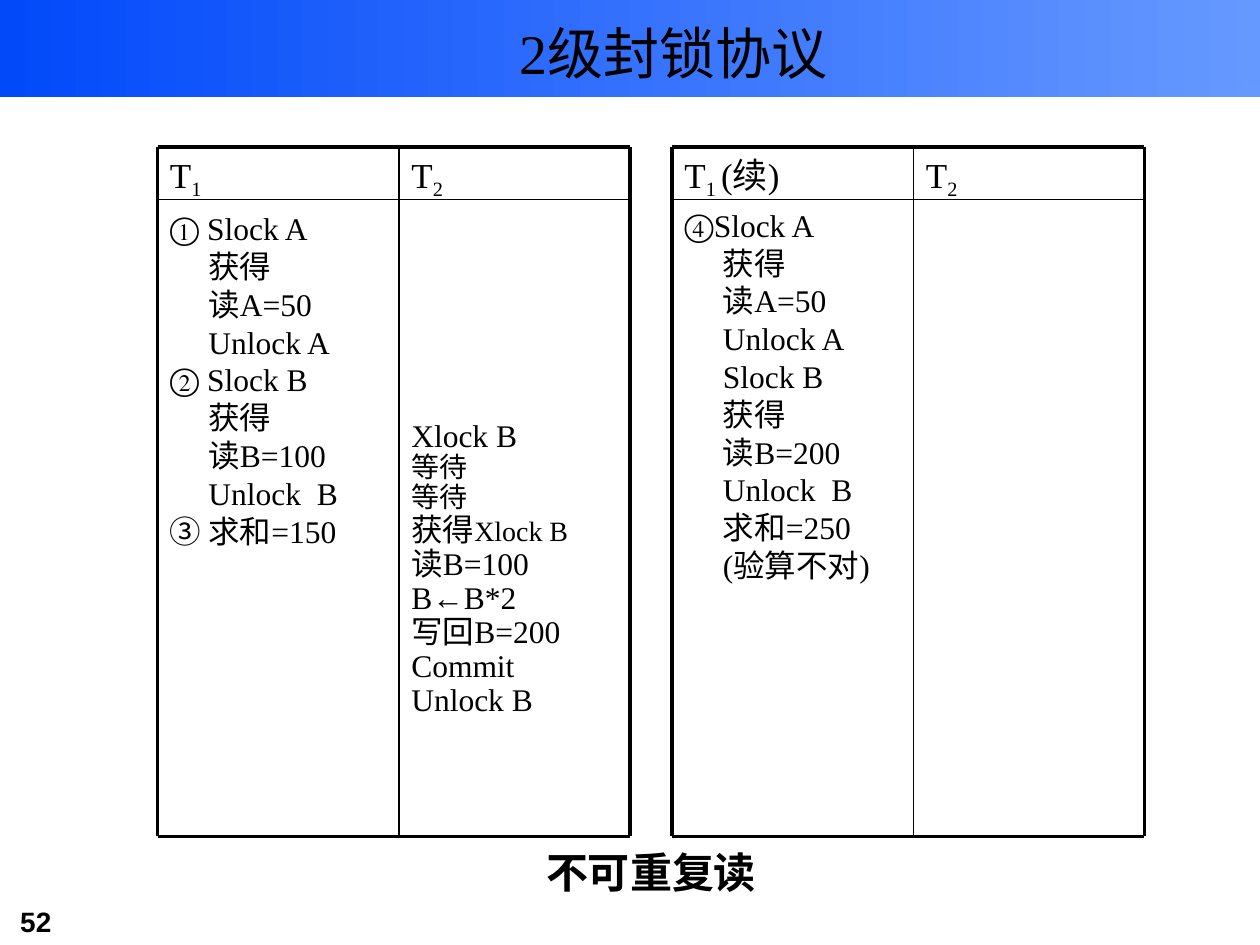
from pptx import Presentation, util as u
from pptx.dml.color import RGBColor
from pptx.enum import shapes, text
from pptx.oxml.ns import qn
from lxml import etree

INK = {"black": "000000", "deep": "0249FA", "sky": "6699FF"}
FONT = {"name": "Times New Roman", "size": u.Pt(18), "bold": False}
MID = {"align": text.PP_ALIGN.CENTER, "anchor": text.MSO_ANCHOR.MIDDLE}
STEP = 22  # indent of the lines under a numbered step

LEFT, MIDDLE, RIGHT = 0, 138, 270  # column edges within one grid
TOP, HEAD, FOOT = 84, 114, 478

LOCK_A = [
    ("① Slock A", 0), ("获得", STEP), ("读A=50", STEP), ("Unlock A", STEP),
    ("② Slock B", 0), ("获得", STEP), ("读B=100", STEP), ("Unlock  B", STEP),
    ("③ 求和=150", 0),
]
AGAIN = [("④Slock A", 0)] + [
    (line, STEP) for line in
    ("获得", "读A=50", "Unlock A", "Slock B", "获得", "读B=200",
     "Unlock  B", "求和=250", "(验算不对)")
]
SMALL = {"size": u.Pt(16)}
WRITE = [
    [("等待", SMALL)], [("等待", SMALL)], [("获得", {}), ("Xlock B", SMALL)],
    "读B=100", "B←B*2", "写回B=200", "Commit", "Unlock B",
]


def color(name):
    return RGBColor.from_string(INK[name])


class Page:
    def __init__(self, slide, font):
        self.slide, self.font = slide, font

    def band(self, x, y, w, h, stops):
        box = self.slide.shapes.add_shape(
            shapes.MSO_SHAPE.RECTANGLE, *map(u.Pt, (x, y, w, h)))
        box.shadow.inherit = False
        box.line.fill.background()
        box.fill.gradient()
        box.fill.gradient_angle = 0
        for stop, name in zip(box.fill.gradient_stops, stops):
            stop.color.rgb = color(name)

    def rule(self, x1, y1, x2, y2, width):
        line = self.slide.shapes.add_connector(
            shapes.MSO_CONNECTOR.STRAIGHT, *map(u.Pt, (x1, y1, x2, y2)))
        line.line.color.rgb = color("black")
        line.line.width = u.Pt(width)
        etree.SubElement(line._element.spPr, qn("a:effectLst"))

    def box(self, x, y, w, h, wrap=True, anchor=text.MSO_ANCHOR.TOP):
        frame = self.slide.shapes.add_textbox(
            *map(u.Pt, (x, y, w, h))).text_frame
        frame.word_wrap = wrap
        frame.vertical_anchor = anchor
        return frame

    def para(self, frame, runs, align=None, space=None, indent=0, **style):
        """Add a paragraph; runs is a string or a list of (text, style)."""
        para = frame.paragraphs[0]
        if para.runs:
            para = frame.add_paragraph()
        if indent:
            para._p.get_or_add_pPr().set("marL", str(u.Pt(indent)))
        para.alignment, para.line_spacing = align, space
        for words, extra in [(runs, {})] if isinstance(runs, str) else runs:
            run = para.add_run()
            run.text = words
            run.font.color.rgb = color("black")
            form = {**self.font, **style, **extra}
            base = form.pop("base", None)
            for key, value in form.items():
                setattr(run.font, key, value)
            if base:
                run._r.get_or_add_rPr().set("baseline", str(base * 1000))

    def label(self, x, y, w, h, runs, align=None, wrap=True,
              anchor=text.MSO_ANCHOR.TOP, **style):
        frame = self.box(x, y, w, h, wrap, anchor)
        self.para(frame, runs, align, **style)

    def steps(self, x, y, w, h, lines):
        frame = self.box(x, y, w, h)
        for words, indent in lines:
            self.para(frame, words, indent=indent)

    def grid(self, x, heads):
        """Draw a two-column frame with a head row at x."""
        for left, right, head in zip((LEFT, MIDDLE), (MIDDLE, RIGHT), heads):
            self.label(x + left, TOP, right - left, HEAD - TOP, head,
                       size=u.Pt(20))
        for y, width in ((TOP, 2.25), (HEAD, 1), (FOOT, 2.25)):
            self.rule(x + LEFT, y, x + RIGHT, y, width)
        for col, width in ((LEFT, 2.25), (MIDDLE, 1), (RIGHT, 2.25)):
            self.rule(x + col, TOP, x + col, FOOT, width)


def main():
    deck = Presentation()
    deck.slide_width, deck.slide_height = u.Pt(720), u.Pt(540)
    page = Page(deck.slides.add_slide(deck.slide_layouts[6]), FONT)

    page.band(0, 0, 720, 55.5, ("deep", "sky"))
    page.label(4.5, 513.5, 88, 26.5, "52", name="Arial", size=u.Pt(16),
               bold=True)
    page.label(78, 0, 613.5, 60, "2级封锁协议", size=u.Pt(32), **MID)
    page.label(270, 474, 204, 48, "不可重复读", wrap=False, size=u.Pt(24),
               bold=True, **MID)

    sub = {"base": -25}
    first, second = [("T", {}), ("1", sub)], [("T", {}), ("2", sub)]
    more = [("T", {}), ("1 ", sub), ("(续)", {})]
    page.grid(90, (first, second))
    page.grid(384, (more, second))

    page.steps(90, 116, 132, 362, LOCK_A)
    page.steps(384, 114, 132, 364, AGAIN)
    frame = page.box(228, 234, 138, 244)
    page.para(frame, "Xlock B")
    for line in WRITE:
        page.para(frame, line, space=0.9)

    deck.save("out.pptx")


if __name__ == "__main__":
    main()
